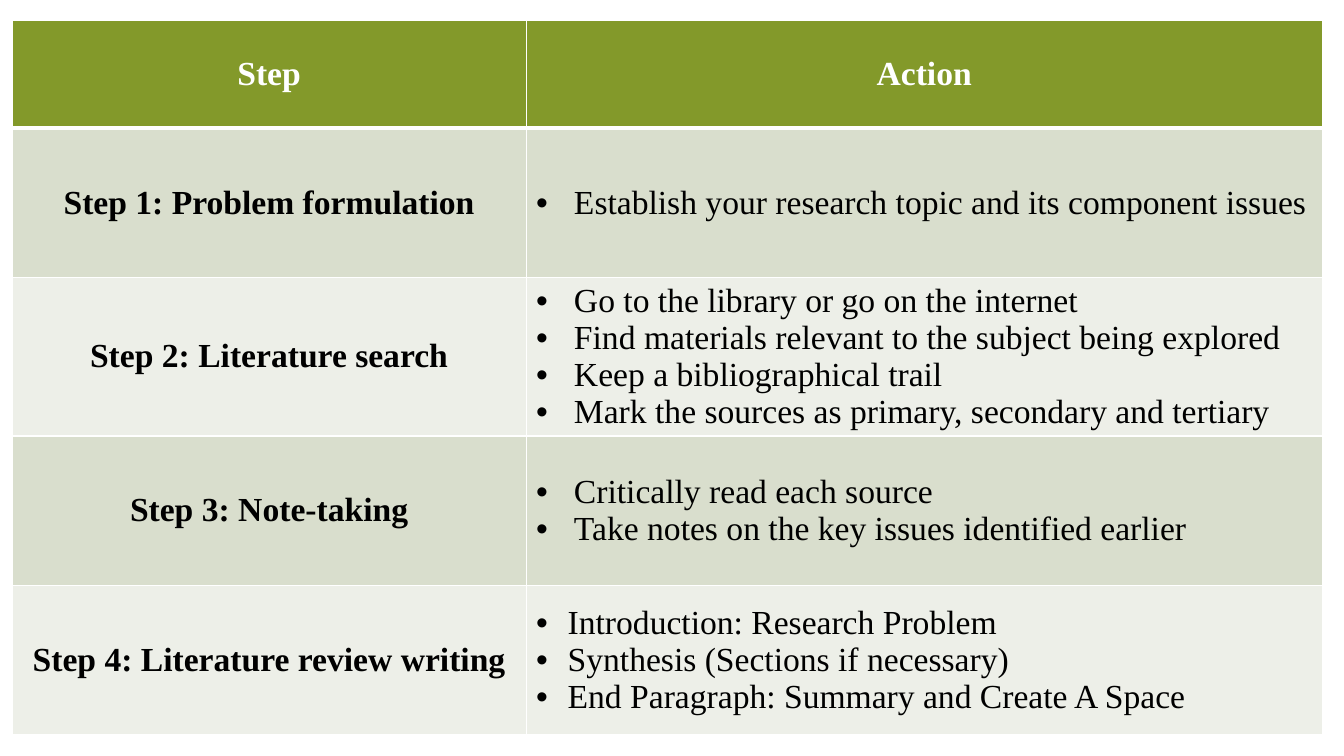
from lxml import etree
from pptx import Presentation
from pptx.dml.color import RGBColor
from pptx.enum import text
from pptx.oxml import ns
from pptx.util import Pt

COLORS = {"header": "83992A", "odd": "D9DECD", "even": "EDEFE8",
          "white": "FFFFFF", "black": "000000"}
FONT, SIZE = "Times New Roman", 24
COLUMNS = (367.2, 568.8)
HEADER_HEIGHT, ROW_HEIGHT = 76.7, 106.6

# Step, bullet indent, actions
STEPS = [
    ("Step 1: Problem formulation", 27,
     ["Establish your research topic and its component issues"]),
    ("Step 2: Literature search", 27,
     ["Go to the library or go on the internet",
      "Find materials relevant to the subject being explored",
      "Keep a bibliographical trail",
      "Mark the sources as primary, secondary and tertiary"]),
    ("Step 3: Note-taking", 27,
     ["Critically read each source",
      "Take notes on the key issues identified earlier"]),
    ("Step 4: Literature review writing", 22.5,
     ["Introduction: Research Problem",
      "Synthesis (Sections if necessary)",
      "End Paragraph: Summary and Create A Space"]),
]


def rgb(name):
    return RGBColor.from_string(COLORS[name])


def set_borders(cell, bottom):
    tc_pr = cell._tc.get_or_add_tcPr()
    for side, width in (("L", 1), ("R", 1), ("T", 1), ("B", bottom)):
        ln = etree.SubElement(tc_pr, ns.qn(f"a:ln{side}"), w=str(Pt(width)))
        fill = etree.SubElement(ln, ns.qn("a:solidFill"))
        etree.SubElement(fill, ns.qn("a:srgbClr"), val=COLORS["white"])


def add_bullet(p, indent):
    p_pr = p._p.get_or_add_pPr()
    p_pr.set("marL", str(Pt(indent)))
    p_pr.set("indent", str(-Pt(indent)))
    etree.SubElement(p_pr, ns.qn("a:buFont"), typeface="Arial")
    etree.SubElement(p_pr, ns.qn("a:buChar"), char="•")


def fill_cell(cell, lines, fill, color="black", bold=True, indent=None, bottom=1):
    set_borders(cell, bottom)
    cell.fill.solid()
    cell.fill.fore_color.rgb = rgb(fill)
    cell.vertical_anchor = text.MSO_ANCHOR.MIDDLE
    tf = cell.text_frame
    tf.text = "\n".join(lines)
    for p in tf.paragraphs:
        if indent:
            add_bullet(p, indent)
        else:
            p.alignment = text.PP_ALIGN.CENTER
        p.font.name = FONT
        p.font.size = Pt(SIZE)
        p.font.bold = bold
        p.font.color.rgb = rgb(color)


def add_steps_table(s):
    height = HEADER_HEIGHT + ROW_HEIGHT * len(STEPS)
    table = s.shapes.add_table(len(STEPS) + 1, len(COLUMNS), Pt(8.6), Pt(14.8),
                               Pt(sum(COLUMNS)), Pt(height)).table
    for column, width in zip(table.columns, COLUMNS):
        column.width = Pt(width)
    for i, row in enumerate(table.rows):
        row.height = Pt(ROW_HEIGHT if i else HEADER_HEIGHT)

    # Header row
    for i, title in enumerate(("Step", "Action")):
        fill_cell(table.cell(0, i), [title], "header", "white", bottom=3)

    # Step rows
    for i, (step, indent, actions) in enumerate(STEPS, 1):
        fill = "odd" if i % 2 else "even"
        fill_cell(table.cell(i, 0), [step], fill)
        fill_cell(table.cell(i, 1), actions, fill, bold=False, indent=indent)


def main():
    prs = Presentation()
    prs.slide_width, prs.slide_height = Pt(960), Pt(540)
    s = prs.slides.add_slide(prs.slide_layouts[6])
    add_steps_table(s)
    prs.save("out.pptx")


if __name__ == "__main__":
    main()
